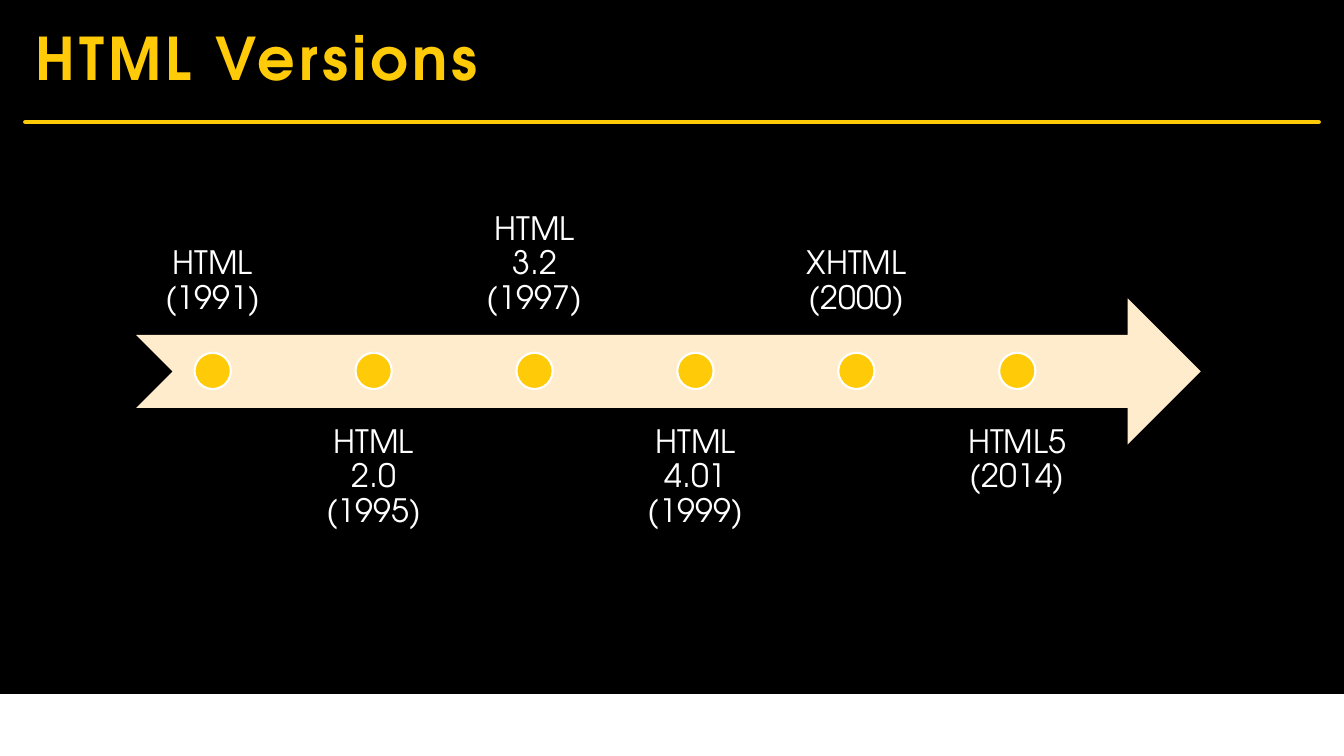
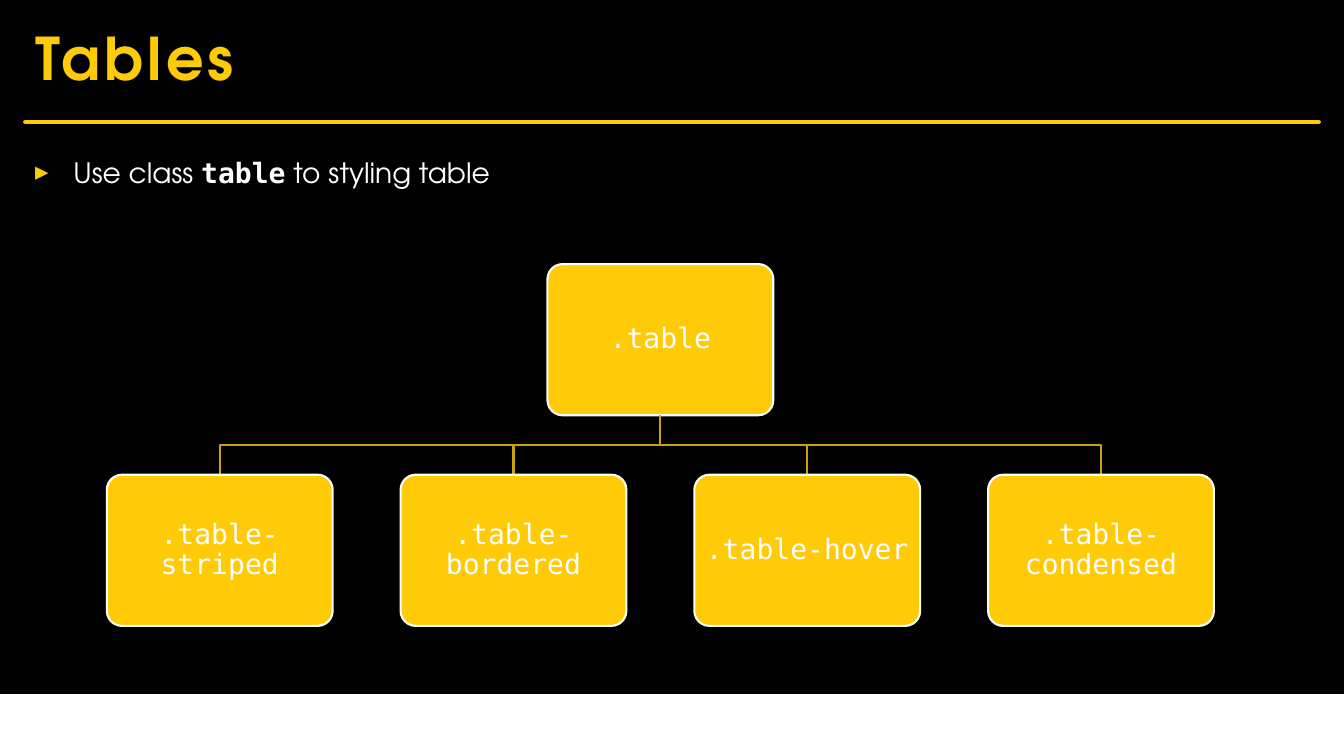
from dataclasses import dataclass

from lxml.etree import SubElement
from pptx import Presentation
from pptx.dml.color import RGBColor
from pptx.enum.shapes import MSO_CONNECTOR, MSO_SHAPE
from pptx.enum.text import MSO_ANCHOR, PP_ALIGN
from pptx.oxml.ns import qn
from pptx.util import Inches, Pt


@dataclass(frozen=True)
class Theme:
    black: str = "000000"
    white: str = "FFFFFF"
    gold: str = "FFCA08"
    dark_gold: str = "CCA206"
    cream: str = "FFECCC"
    font: str = "TeX Gyre Adventor"
    code_font: str = "DejaVu Sans Mono"
    title_size: int = 42
    label_size: int = 23
    body_size: int = 20
    outline: float = 1.5
    rule: float = 3
    line_spacing: float = 0.9


THEME = Theme()
PAGE_WIDTH, PAGE_HEIGHT = 13.33, 7.5
MARGIN = 0.25
CONTENT_WIDTH = PAGE_WIDTH - 2 * MARGIN


def color(value):
    return RGBColor.from_string(value)


# Basic elements
def style_span(span, size, font=THEME.font, fill=THEME.white, bold=False):
    span.font.size = Pt(size)
    span.font.name = font
    span.font.color.rgb = color(fill)
    span.font.bold = bold


def set_frame(frame, anchor=MSO_ANCHOR.TOP, inset=None):
    frame.word_wrap = True
    frame.vertical_anchor = anchor
    if inset is not None:
        frame.margin_left = frame.margin_right = Inches(inset)
        frame.margin_top = frame.margin_bottom = Inches(inset)


def set_centered_text(frame, text, size, font):
    frame.text = text
    para = frame.paragraphs[0]
    para.alignment = PP_ALIGN.CENTER
    para.line_spacing = THEME.line_spacing
    style_span(para.runs[0], size, font)


def add_text_box(page, left, top, width, height):
    return page.shapes.add_textbox(
        Inches(left), Inches(top), Inches(width), Inches(height))


def set_line(line, fill, width):
    line.color.rgb = color(fill)
    line.width = Pt(width)


def add_filled_shape(page, kind, left, top, width, height, fill, outline=None):
    shape = page.shapes.add_shape(
        kind, Inches(left), Inches(top), Inches(width), Inches(height))
    shape.shadow.inherit = False
    shape.fill.solid()
    shape.fill.fore_color.rgb = color(fill)
    if outline:
        set_line(shape.line, outline, THEME.outline)
    else:
        shape.line.fill.background()
    return shape


def add_title_rule(page):
    top = Inches(1.21)
    rule = page.shapes.add_connector(
        MSO_CONNECTOR.STRAIGHT, Inches(MARGIN), top,
        Inches(PAGE_WIDTH - MARGIN), top)
    set_line(rule.line, THEME.gold, THEME.rule)
    rule.line._get_or_add_ln().set("cap", "rnd")
    SubElement(rule._element.spPr, qn("a:effectLst"))


# Page frame shared by all slides
def add_page(deck, title):
    page = deck.slides.add_slide(deck.slide_layouts[6])
    page.background.fill.solid()
    page.background.fill.fore_color.rgb = color(THEME.black)
    add_filled_shape(page, MSO_SHAPE.RECTANGLE, 0, 6.9, PAGE_WIDTH, 0.59,
                     THEME.white, THEME.white)
    add_title_rule(page)
    box = add_text_box(page, MARGIN, 0.17, CONTENT_WIDTH, 0.98)
    set_frame(box.text_frame)
    box.text_frame.text = title
    span = box.text_frame.paragraphs[0].runs[0]
    style_span(span, THEME.title_size, fill=THEME.gold, bold=True)
    span.font._element.set("spc", "300")
    return page


# Bulleted line, given as (text, is_code) parts
def add_bullet(page, parts):
    box = add_text_box(page, MARGIN, 1.49, CONTENT_WIDTH, 5.18)
    set_frame(box.text_frame)
    para = box.text_frame.paragraphs[0]
    for text, is_code in parts:
        span = para.add_run()
        span.text = text
        font = THEME.code_font if is_code else THEME.font
        style_span(span, THEME.body_size, font, bold=is_code)
    properties = para._p.get_or_add_pPr()
    indent = Inches(0.38)
    properties.set("marL", str(indent))
    properties.set("indent", str(-indent))
    bullet_color = SubElement(properties, qn("a:buClr"))
    SubElement(bullet_color, qn("a:srgbClr"), val=THEME.gold)
    SubElement(properties, qn("a:buSzPct"), val="80000")
    SubElement(properties, qn("a:buFont"), typeface=THEME.code_font)
    SubElement(properties, qn("a:buChar"), char="▶")


# Arrow with evenly spaced dots and labels alternating above and below
def add_timeline(page, labels):
    add_filled_shape(page, MSO_SHAPE.NOTCHED_RIGHT_ARROW,
                     1.35, 2.96, 10.56, 1.45, THEME.cream)
    first_center, last_center = 2.11, 10.09
    step = (last_center - first_center) / (len(labels) - 1)
    dot_size, label_width, label_height = 0.36, 1.52, 1.45
    for index, label in enumerate(labels):
        center = first_center + index * step
        above = index % 2 == 0
        box = add_text_box(page, center - label_width / 2,
                           1.87 if above else 4.04, label_width, label_height)
        set_frame(box.text_frame,
                  MSO_ANCHOR.BOTTOM if above else MSO_ANCHOR.TOP, 0.18)
        set_centered_text(box.text_frame, label, THEME.label_size, THEME.font)
        add_filled_shape(page, MSO_SHAPE.OVAL, center - dot_size / 2, 3.5,
                         dot_size, dot_size, THEME.gold, THEME.white)


# Class tree: one parent box above a row of children
def add_class_box(page, center, top, width, height, text):
    box = add_filled_shape(page, MSO_SHAPE.ROUNDED_RECTANGLE,
                           center - width / 2, top, width, height,
                           THEME.gold, THEME.white)
    box.adjustments[0] = 0.1
    # The rounded corners already inset the text slightly
    set_frame(box.text_frame, MSO_ANCHOR.MIDDLE, 0.03)
    set_centered_text(box.text_frame, text, THEME.body_size, THEME.code_font)


def add_branch(page, start_x, start_y, end_x, end_y):
    bend = (start_y + end_y) / 2
    outline = page.shapes.build_freeform(
        Inches(start_x), Inches(start_y), scale=1.0)
    points = [(start_x, bend), (end_x, bend), (end_x, end_y)]
    outline.add_line_segments(
        [(Inches(x), Inches(y)) for x, y in points], close=False)
    branch = outline.convert_to_shape()
    branch.shadow.inherit = False
    branch.fill.background()
    set_line(branch.line, THEME.dark_gold, THEME.outline)


def add_class_tree(page, parent, children):
    width, height = 2.24, 1.5
    parent_top, child_top = 2.62, 4.71
    first_center, last_center = 2.18, 10.92
    middle = (first_center + last_center) / 2
    step = (last_center - first_center) / (len(children) - 1)

    add_class_box(page, middle, parent_top, width, height, parent)
    for index, text in enumerate(children):
        center = first_center + index * step
        add_branch(page, middle, parent_top + height, center, child_top)
        add_class_box(page, center, child_top, width, height, text)


def main():
    deck = Presentation()
    deck.slide_width = Inches(PAGE_WIDTH)
    deck.slide_height = Inches(PAGE_HEIGHT)

    versions = add_page(deck, "HTML Versions")
    add_timeline(versions, [
        "HTML (1991)", "HTML 2.0 (1995)", "HTML 3.2 (1997)",
        "HTML 4.01 (1999)", "XHTML (2000)", "HTML5 (2014)"])

    tables = add_page(deck, "Tables")
    add_bullet(tables, [("Use class ", False), ("table", True),
                        (" to styling table", False)])
    add_class_tree(tables, ".table", [
        ".table-striped", ".table-bordered",
        ".table-hover", ".table-condensed"])

    deck.save("out.pptx")


if __name__ == "__main__":
    main()
